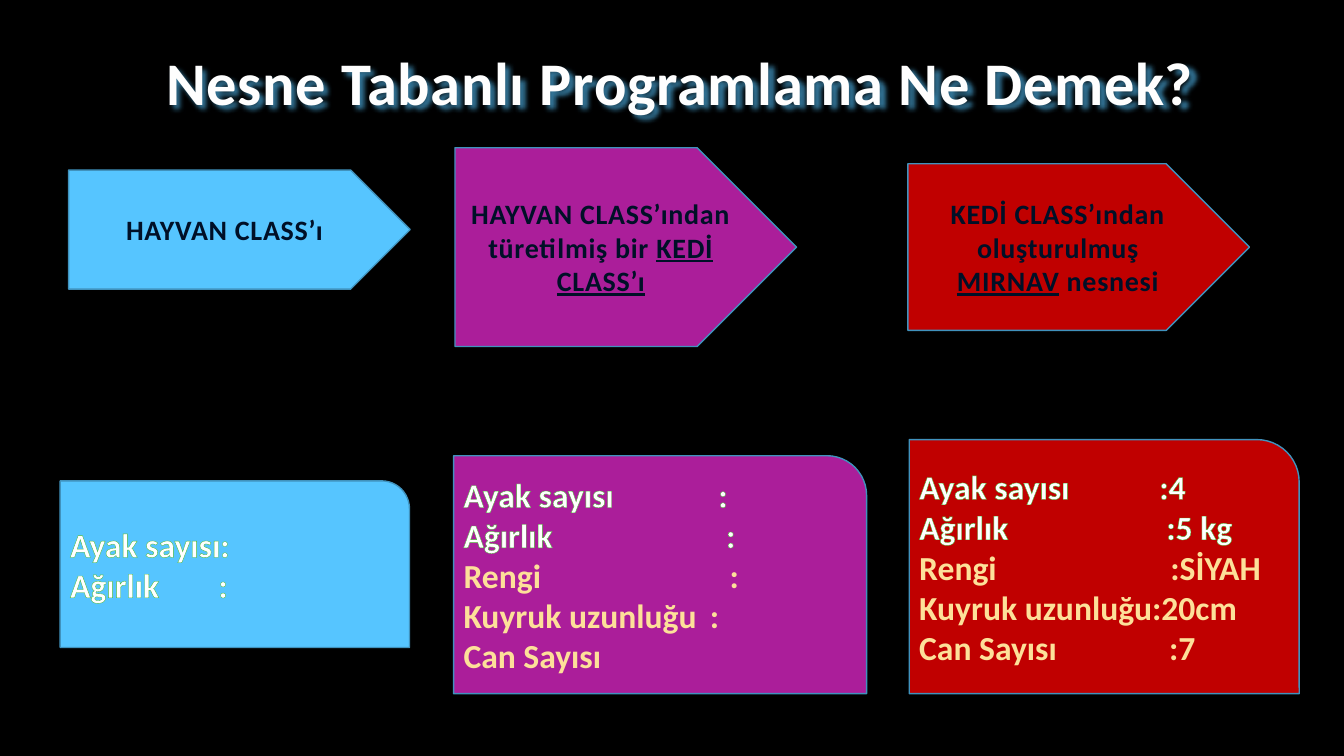
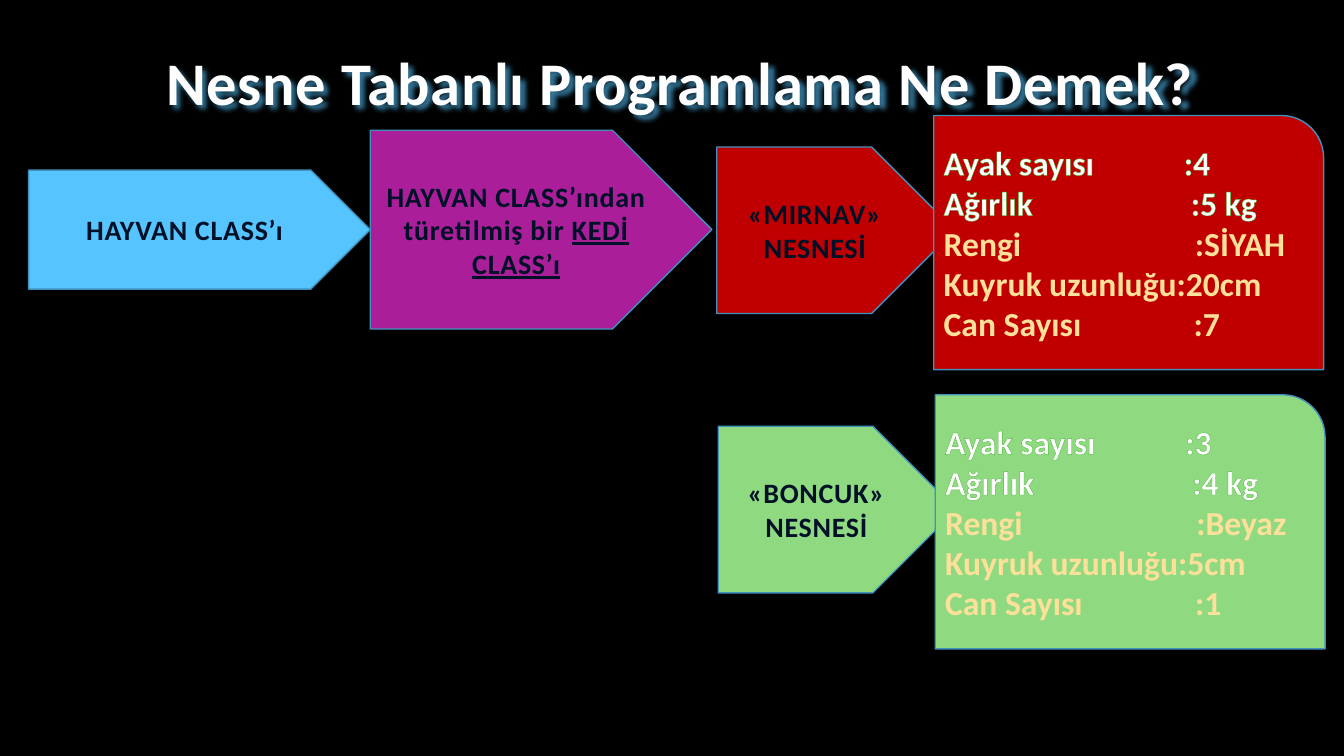
from dataclasses import dataclass

from lxml import etree
from pptx import Presentation
from pptx.dml.color import RGBColor
from pptx.enum.dml import MSO_PATTERN
from pptx.enum.shapes import MSO_SHAPE
from pptx.enum.text import MSO_ANCHOR, MSO_AUTO_SIZE, PP_ALIGN
from pptx.oxml.ns import qn
from pptx.util import Pt

ARROW = MSO_SHAPE.PENTAGON
CARD = MSO_SHAPE.ROUND_1_RECTANGLE
STRIPES = MSO_PATTERN.NARROW_HORIZONTAL
MIDDLE = MSO_ANCHOR.MIDDLE
BOTTOM = MSO_ANCHOR.BOTTOM
NO_FIT = MSO_AUTO_SIZE.NONE
LEFT = PP_ALIGN.LEFT
CENTER = PP_ALIGN.CENTER
TITLE_ONLY = 5


@dataclass(frozen=True)
class Theme:
    font: str = "Calibri"
    background: str = "000000"
    title: str = "FEFEFE"
    ink: str = "001027"
    white: str = "FFFFFF"
    border: str = "4092BD"
    blue: str = "56C5FF"
    purple: str = "AB1E9A"
    red: str = "C00000"
    green: str = "8FDA81"
    inherited_edge: str = "4BB836"
    own_edge: str = "7C5802"
    stripe: str = "F8B004"
    stripe_base: str = "FDE099"
    title_size: float = 43.2
    arrow_size: float = 20
    card_size: float = 24


THEME = Theme()
TITLE = "Nesne Tabanlı Programlama Ne Demek?"
TITLE_BOX = (111.5, 16, 782, 72)

ANIMAL_CLASS = [[("HAYVAN CLASS’ı", False)]]
CAT_CLASS = [[("HAYVAN CLASS’ından türetilmiş bir ", False), ("KEDİ CLASS’ı", True)]]
CAT_OBJECT = [
    [("KEDİ CLASS’ından oluşturulmuş", False)],
    [("MIRNAV", True), (" nesnesi", False)],
]
ANIMAL_FIELDS = [("Ayak sayısı:", 0), ("Ağırlık\t:", 106)]
CAT_FIELDS = [
    ("Ayak sayısı\t:", 182),
    ("Ağırlık\t:", 187.5),
    ("Rengi\t:", 190),
    ("Kuyruk uzunluğu\t:", 176),
    ("Can Sayısı", 0),
]


def object_fields(legs, weight, colour, tail, lives):
    return [
        (f"Ayak sayısı\t:{legs}", 171.5),
        (f"Ağırlık\t:{weight}", 176.5),
        (f"Rengi\t:{colour}", 179.5),
        (f"Kuyruk uzunluğu:{tail}", 0),
        (f"Can Sayısı\t:{lives}", 178.5),
    ]


MIRNAV = object_fields("4", "5 kg", "SİYAH", "20cm", "7")
BONCUK = object_fields("3", "4 kg", "Beyaz", "5cm", "1")

PAGES = [
    {
        "arrows": [
            ((49, 121.5, 244, 85), THEME.blue, ANIMAL_CLASS),
            ((325, 105.5, 244, 142), THEME.purple, CAT_CLASS),
            ((648.5, 117, 244, 119), THEME.red, CAT_OBJECT),
        ],
        "cards": [
            ((43, 343.5, 249.5, 119), THEME.blue, ANIMAL_FIELDS),
            ((324, 325.5, 295, 170), THEME.purple, CAT_FIELDS),
            ((649.5, 314, 278.5, 181.5), THEME.red, MIRNAV),
        ],
    },
    {
        "arrows": [
            ((20.5, 121.5, 244, 85), THEME.blue, ANIMAL_CLASS),
            ((264.5, 93, 244, 142), THEME.purple, CAT_CLASS),
            ((512, 105, 170, 119), THEME.red, [[("«MIRNAV» NESNESİ", False)]]),
            ((513, 304.5, 170, 119), THEME.green, [[("«BONCUK» NESNESİ", False)]]),
        ],
        "cards": [
            ((667, 82.5, 278.5, 181.5), THEME.red, MIRNAV),
            ((668, 282, 278.5, 181.5), THEME.green, BONCUK),
        ],
    },
]


def apply_format(target, values):
    for name, value in values.items():
        setattr(target, name, value)


def paint(fill, colour):
    fill.solid()
    fill.fore_color.rgb = RGBColor.from_string(colour)


def place(shape, box):
    names = ("left", "top", "width", "height")
    apply_format(shape, {name: Pt(value) for name, value in zip(names, box)})


def add_colour(parent, colour):
    return etree.SubElement(parent, qn("a:srgbClr"), val=colour)


def add_span(para, text, size, colour, underline=None, spacing=None):
    span = para.add_run()
    span.text = text
    values = {"name": THEME.font, "size": Pt(size), "bold": True, "underline": underline}
    apply_format(span.font, values)
    paint(span.font.fill, colour)
    if spacing:
        span.font._element.set("spc", str(spacing))
    return span


def outline_span(span, colour, width):
    edge = etree.Element(qn("a:ln"), w=str(Pt(width)))
    add_colour(etree.SubElement(edge, qn("a:solidFill")), colour)
    span.font._element.insert(0, edge)


def stripe_span(span):
    fill = span.font.fill
    fill.patterned()
    fill.pattern = STRIPES
    fill.fore_color.rgb = RGBColor.from_string(THEME.stripe)
    fill.back_color.rgb = RGBColor.from_string(THEME.stripe_base)


def set_tab(para, position):
    tabs = etree.SubElement(para._p.get_or_add_pPr(), qn("a:tabLst"))
    etree.SubElement(tabs, qn("a:tab"), pos=str(Pt(position)), algn="l")


def add_panel(page, kind, box, colour):
    panel = page.shapes.add_shape(kind, *map(Pt, box))
    panel.shadow.inherit = False
    paint(panel.fill, colour)
    paint(panel.line.fill, THEME.border)
    panel.line.width = Pt(1)
    apply_format(panel.text_frame, {"word_wrap": True, "vertical_anchor": MIDDLE})
    return panel


def add_paragraphs(frame, count, alignment):
    while len(frame.paragraphs) < count:
        frame.add_paragraph()
    for para in frame.paragraphs:
        para.alignment = alignment
    return frame.paragraphs


def add_arrow(page, box, colour, lines):
    frame = add_panel(page, ARROW, box, colour).text_frame
    for para, spans in zip(add_paragraphs(frame, len(lines), CENTER), lines):
        for text, underline in spans:
            add_span(para, text, THEME.arrow_size, THEME.ink, underline, 50)


def add_card(page, box, colour, fields):
    frame = add_panel(page, CARD, box, colour).text_frame
    paras = add_paragraphs(frame, len(fields), LEFT)
    for index, (para, (text, tab)) in enumerate(zip(paras, fields)):
        if tab:
            set_tab(para, tab)
        span = add_span(para, text, THEME.card_size, THEME.white)
        if index < 2:
            outline_span(span, THEME.inherited_edge, 0.52)
        else:
            stripe_span(span)
            outline_span(span, THEME.own_edge, 1)


def add_title(page, box):
    title = page.shapes.title
    place(title, box)
    frame = title.text_frame
    values = {"word_wrap": True, "vertical_anchor": BOTTOM, "auto_size": NO_FIT}
    apply_format(frame, values)
    para = frame.paragraphs[0]
    apply_format(para, {"alignment": LEFT, "line_spacing": 0.9})
    span = add_span(para, TITLE, THEME.title_size, THEME.title, spacing=50)
    outline_span(span, THEME.blue, 0.75)
    effects = etree.SubElement(title._element.spPr, qn("a:effectLst"))
    shadow = etree.SubElement(
        effects,
        qn("a:outerShdw"),
        blurRad=str(Pt(4)),
        dist=str(Pt(3)),
        dir="2700000",
        algn="tl",
        rotWithShape="0",
    )
    tint = add_colour(shadow, THEME.blue)
    etree.SubElement(tint, qn("a:alpha"), val="60000")


def add_page(deck, content):
    page = deck.slides.add_slide(deck.slide_layouts[TITLE_ONLY])
    paint(page.background.fill, THEME.background)
    add_title(page, TITLE_BOX)
    for arrow in content["arrows"]:
        add_arrow(page, *arrow)
    for card in content["cards"]:
        add_card(page, *card)


def main():
    deck = Presentation()
    apply_format(deck, {"slide_width": Pt(960), "slide_height": Pt(540)})
    for content in PAGES:
        add_page(deck, content)
    deck.save("out.pptx")


if __name__ == "__main__":
    main()
